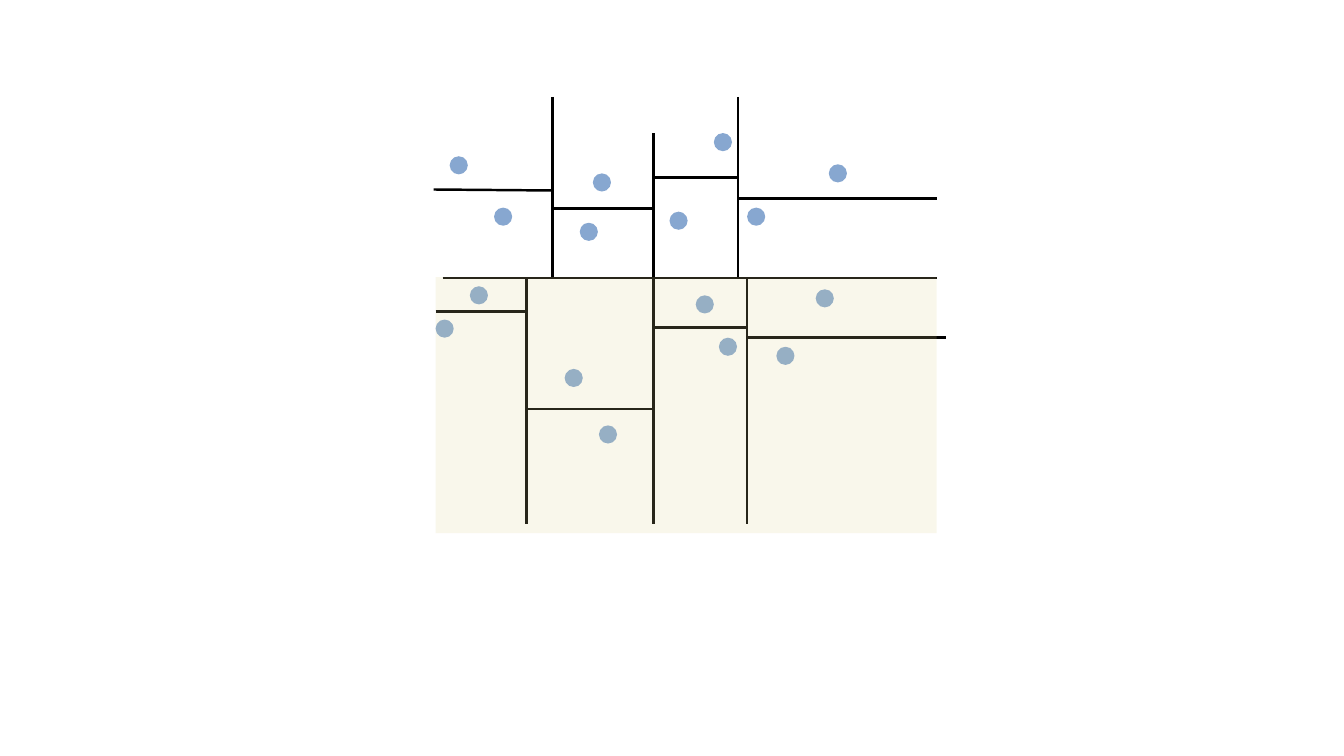
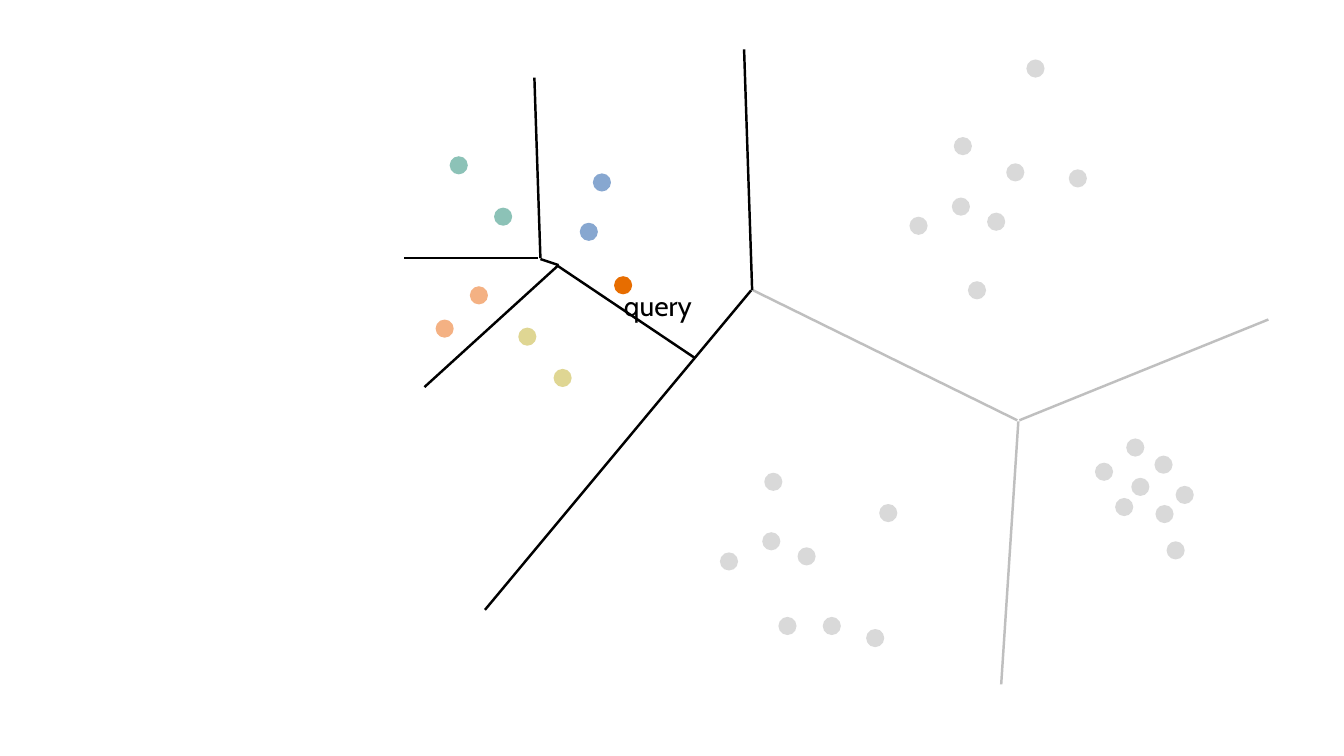
"""Build two slides of point partitions: axis-aligned cells and nested Voronoi cells."""
from lxml import etree
from pptx import Presentation
from pptx.dml.color import RGBColor
from pptx.enum.shapes import MSO_CONNECTOR, MSO_SHAPE
from pptx.oxml.ns import qn
from pptx.util import Inches, Pt

COLORS = {
    "black": "000000", "blue": "87A7D0", "gray": "D9D9D9", "line_gray": "BFBFBF",
    "teal": "8CC2B7", "peach": "F4B183", "sand": "DFD693", "orange": "E76D00",
}
FONT = "Cabin"
DOT = 0.18
LINE_WIDTH = 1.75

MID_X, MID_Y = 6.48, 2.76
TOP, BOTTOM, LEFT, RIGHT = 0.96, 5.2, 4.32, 9.29
UPPER_X = (5.48, 7.32)
LOWER_X = (5.22, 7.41)

TREE_DOTS = {"blue": [
    (5.88, 1.72), (7.08, 1.32), (7.41, 2.06), (5.6, 3.66), (6.9, 2.93), (7.7, 3.44),
    (4.66, 2.84), (4.9, 2.06), (4.32, 3.17), (5.94, 4.22), (7.13, 3.35), (8.09, 2.87),
    (8.22, 1.63), (6.64, 2.1), (5.75, 2.21), (4.46, 1.55),
]}
TREE_LINES = {"black": [
    (MID_X, 1.32, MID_X, BOTTOM),
    (4.39, MID_Y, RIGHT, MID_Y),
    *[(x, TOP, x, MID_Y) for x in UPPER_X],
    *[(x, MID_Y, x, BOTTOM) for x in LOWER_X],
    (4.3, 1.88, UPPER_X[0], 1.89),
    (UPPER_X[0], 2.07, MID_X, 2.07),
    (MID_X, 1.76, UPPER_X[1], 1.76),
    (UPPER_X[1], 1.97, RIGHT, 1.97),
    (LEFT, 3.09, LOWER_X[0], 3.09),
    (LOWER_X[0], 4.06, MID_X, 4.06),
    (MID_X, 3.25, LOWER_X[1], 3.25),
    (LOWER_X[1], 3.35, 9.38, 3.35),
]}
HALF_PLANE = (LEFT, 2.75, RIGHT - LEFT, 2.54)
HALF_PLANE_OPACITY = 18

VORONOI_DOTS = {
    "blue": [(5.88, 1.72), (5.75, 2.21)],
    "teal": [(4.9, 2.06), (4.46, 1.55)],
    "peach": [(4.66, 2.84), (4.32, 3.17)],
    "sand": [(5.49, 3.66), (5.14, 3.25)],
    "orange": [(6.09, 2.74)],
    "gray": [
        (9.46, 1.36), (9.79, 2.11), (9.6, 2.79), (9.98, 1.62),
        (9.44, 1.96), (10.18, 0.59), (10.6, 1.68), (9.02, 2.15),
        (7.58, 4.69), (7.91, 5.43), (7.72, 6.12), (8.16, 6.12),
        (7.56, 5.28), (8.59, 6.24), (8.72, 5), (7.14, 5.48),
        (11.17, 4.35), (11.22, 4.74), (11.57, 5.37), (11.46, 5.01),
        (10.86, 4.59), (11.66, 4.82), (11.45, 4.52), (11.06, 4.94),
    ],
}
VORONOI_LINES = {
    "line_gray": [
        (7.47, 2.88, 10.09, 4.17), (9.93, 6.79, 10.1, 4.18), (12.58, 3.17, 10.11, 4.17),
    ],
    "black": [
        (7.45, 2.88, 4.81, 6.05), (7.38, 0.49, 7.46, 2.88), (5.3, 0.77, 5.36, 2.56),
        (4.01, 2.56, 5.34, 2.56), (5.54, 2.63, 4.21, 3.84), (5.52, 2.63, 6.89, 3.55),
        (5.36, 2.57, 5.54, 2.63),
    ],
}
QUERY_LABEL = ("query", (6.09, 2.81, 1.82, 0.44))


def rgb(name):
    return RGBColor.from_string(COLORS[name])


def add_filled(s, kind, box, color):
    sp = s.shapes.add_shape(kind, *map(Inches, box))
    sp.shadow.inherit = False
    sp.fill.solid()
    sp.fill.fore_color.rgb = rgb(color)
    sp.line.fill.background()
    return sp


def add_dots(s, groups):
    for color, points in groups.items():
        for x, y in points:
            add_filled(s, MSO_SHAPE.OVAL, (x, y, DOT, DOT), color)


def add_lines(s, groups):
    for color, segments in groups.items():
        for segment in segments:
            line = s.shapes.add_connector(MSO_CONNECTOR.STRAIGHT, *map(Inches, segment))
            line.line.width = Pt(LINE_WIDTH)
            line.line.color.rgb = rgb(color)
            etree.SubElement(line._element.spPr, qn("a:effectLst"))


def add_half_plane(s):
    sp = add_filled(s, MSO_SHAPE.RECTANGLE, HALF_PLANE, "sand")
    color = sp._element.spPr.find(qn("a:solidFill"))[0]
    etree.SubElement(color, qn("a:alpha"), val=str(HALF_PLANE_OPACITY * 1000))


def add_label(s, label, box):
    tf = s.shapes.add_textbox(*map(Inches, box)).text_frame
    tf.word_wrap = True
    tf.text = label
    font = tf.paragraphs[0].runs[0].font
    font.name, font.size = FONT, Pt(20)
    font.color.rgb = rgb("black")


def main():
    prs = Presentation()
    prs.slide_width, prs.slide_height = Inches(13.33), Inches(7.5)
    blank = prs.slide_layouts[6]

    tree = prs.slides.add_slide(blank)
    add_dots(tree, TREE_DOTS)
    add_lines(tree, TREE_LINES)
    add_half_plane(tree)

    voronoi = prs.slides.add_slide(blank)
    add_dots(voronoi, VORONOI_DOTS)
    add_label(voronoi, *QUERY_LABEL)
    add_lines(voronoi, VORONOI_LINES)

    prs.save("out.pptx")


if __name__ == "__main__":
    main()
